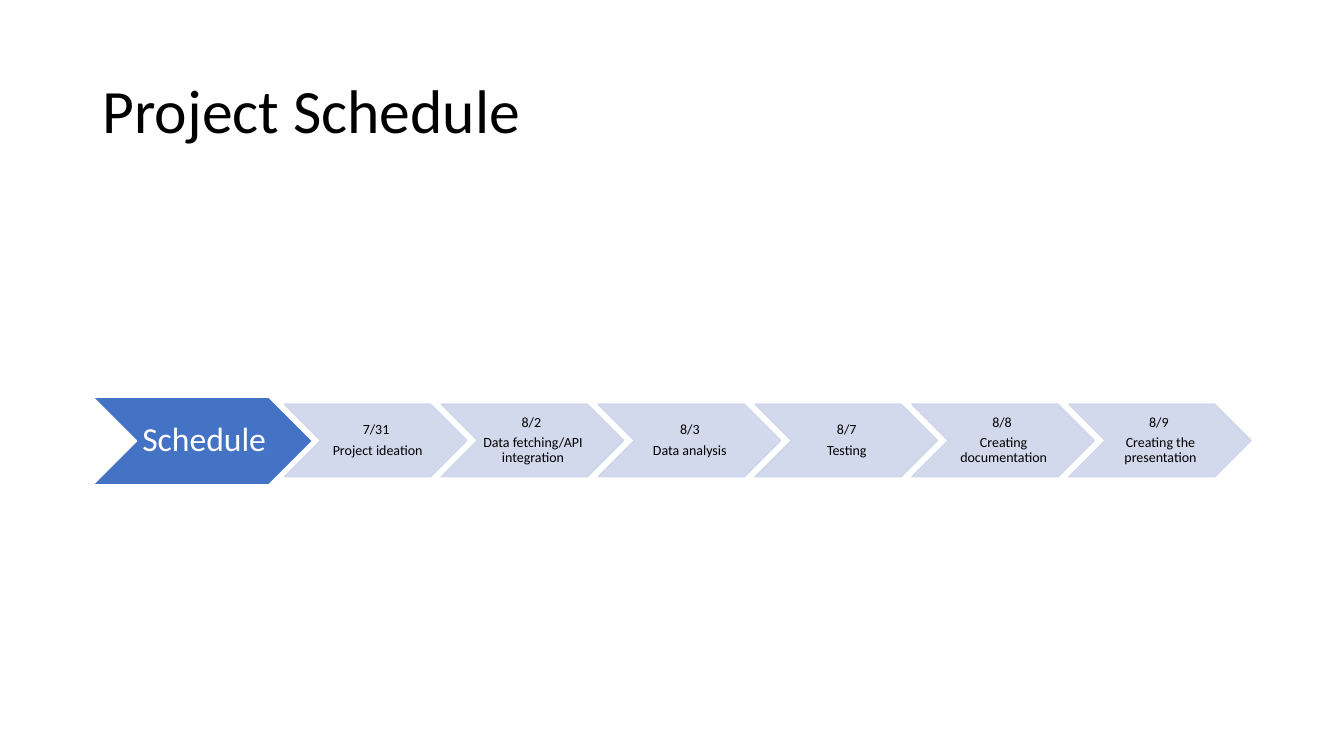
"""Build the project schedule slide: a title and a row of dated chevrons."""
from dataclasses import dataclass

from lxml.etree import SubElement
from pptx import Presentation
from pptx.dml.color import RGBColor
from pptx.enum.shapes import MSO_SHAPE as Preset
from pptx.enum.text import MSO_ANCHOR as Anchor, PP_ALIGN as Align
from pptx.oxml.ns import qn
from pptx.shapes.autoshape import Shape
from pptx.slide import Slide
from pptx.util import Inches, Pt

FONT = "Calibri"
BLACK = RGBColor(0x00, 0x00, 0x00)
WHITE = RGBColor(0xFF, 0xFF, 0xFF)
BLUE = RGBColor(0x44, 0x72, 0xC4)
PALE_BLUE = RGBColor(0xCF, 0xD5, 0xEA)

FIRST_STEP_LEFT = 2.82
LAST_STEP_LEFT = 10.6


@dataclass(frozen=True)
class ChevronStyle:
    """Size, colours and text settings of a chevron."""
    top: float
    width: float
    height: float
    fill: RGBColor
    line: RGBColor
    text: RGBColor
    size: int
    inset: float
    opacity: int = 100


@dataclass(frozen=True)
class Step:
    """A date and the work planned for it."""
    date: str
    task: str


HEADING = ChevronStyle(3.94, 2.18, 0.87, BLUE, WHITE, WHITE, 24, 0.03)
STEP = ChevronStyle(4.01, 1.81, 0.72, PALE_BLUE, PALE_BLUE, BLACK, 10, 0.01, 90)

STEPS = [
    Step("7/31", " Project ideation"),
    Step("8/2 ", "Data fetching/API integration"),
    Step("8/3", "Data analysis"),
    Step("8/7", "Testing"),
    Step("8/8 ", "Creating documentation"),
    Step("8/9 ", "Creating the presentation"),
]


def write_lines(shape: Shape, lines: list[str], size: int, color: RGBColor,
                align: Align, space_after: float = 0) -> None:
    """Write one paragraph per line, vertically centred in the shape."""
    frame = shape.text_frame
    frame.word_wrap = True
    frame.vertical_anchor = Anchor.MIDDLE
    for index, line in enumerate(lines):
        paragraph = frame.add_paragraph() if index else frame.paragraphs[0]
        paragraph.alignment = align
        paragraph.line_spacing = 0.9
        paragraph.space_after = Pt(space_after)
        run = paragraph.add_run()
        run.text = line
        run.font.name = FONT
        run.font.size = Pt(size)
        run.font.color.rgb = color


def add_title(slide: Slide, title: str) -> None:
    """Add the slide title."""
    box = slide.shapes.add_textbox(Inches(0.92), Inches(0.4), Inches(11.5), Inches(1.45))
    write_lines(box, [title], 44, BLACK, Align.LEFT)


def add_chevron(slide: Slide, left: float, lines: list[str], style: ChevronStyle) -> None:
    """Add a chevron with its text."""
    shape = slide.shapes.add_shape(Preset.CHEVRON, Inches(left), Inches(style.top),
                                   Inches(style.width), Inches(style.height))
    shape.shadow.inherit = False
    shape.fill.solid()
    shape.fill.fore_color.rgb = style.fill
    shape.line.color.rgb = style.line
    shape.line.width = Pt(1)
    if style.opacity < 100:
        for color in shape._element.spPr.iter(qn("a:srgbClr")):
            SubElement(color, qn("a:alpha")).set("val", str(style.opacity * 1000))
    frame = shape.text_frame
    frame.margin_left = Inches(style.inset)
    frame.margin_right = Inches(0)
    frame.margin_top = frame.margin_bottom = Inches(0.01)
    write_lines(shape, lines, style.size, style.text, Align.CENTER, style.size * 0.35)


def main() -> None:
    """Build and save the presentation."""
    presentation = Presentation()
    presentation.slide_width = Inches(13.33)
    presentation.slide_height = Inches(7.5)
    slide = presentation.slides.add_slide(presentation.slide_layouts[6])
    add_title(slide, "Project Schedule")
    add_chevron(slide, 0.92, ["Schedule"], HEADING)
    pitch = (LAST_STEP_LEFT - FIRST_STEP_LEFT) / (len(STEPS) - 1)
    for index, step in enumerate(STEPS):
        add_chevron(slide, FIRST_STEP_LEFT + index * pitch, [step.date, step.task], STEP)
    presentation.save("out.pptx")


main()
